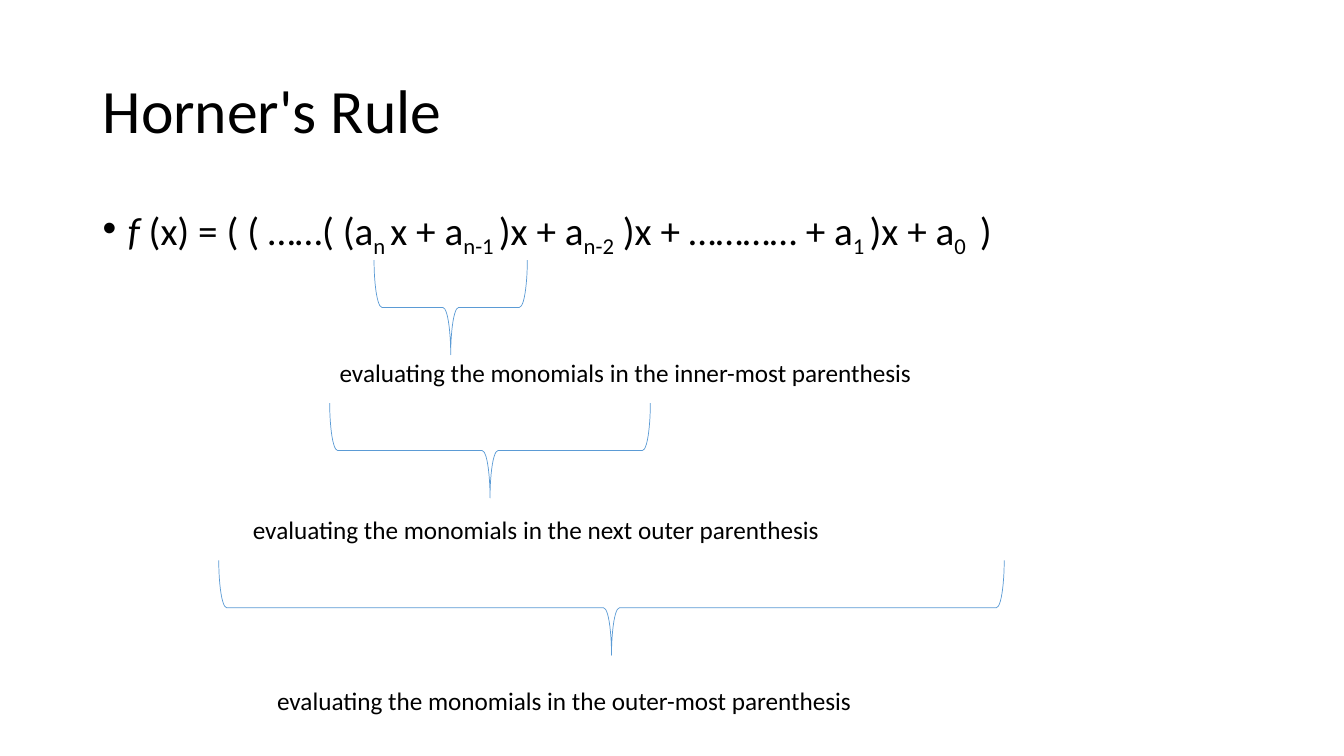
from lxml import etree
from pptx import Presentation
from pptx.dml.color import RGBColor
from pptx.enum.shapes import MSO_SHAPE
from pptx.enum.text import MSO_ANCHOR
from pptx.oxml.ns import qn
from pptx.util import Inches, Pt

FONT = "Calibri"
BLACK = "000000"
BRACE_BLUE = "5B9BD5"
BRACE_HEIGHT = 0.94

# Normal text and subscripts alternate after the italic function name.
FORMULA = [
    " (x) = ( ( ……( (a", "n ", "x + a", "n-1 ", ")x + a", "n-2",
    " )x + ………… + a", "1 ", ")x + a", "0 ", " )",
]

# Brace left, top, width; caption left, top, text.
STEPS = [
    (3.71, 2.58, 1.52, 3.27, 3.5,
     "evaluating the monomials in the inner-most parenthesis"),
    (3.27, 4.0, 3.18, 2.41, 5.05,
     "evaluating the monomials in the next outer parenthesis"),
    (2.17, 5.56, 7.79, 2.65, 6.75,
     "evaluating the monomials in the outer-most parenthesis"),
]


def color(hex_string):
    return RGBColor.from_string(hex_string)


def format_run(run, size):
    run.font.name = FONT
    run.font.size = Pt(size)
    run.font.color.rgb = color(BLACK)


def add_text(slide, left, top, width, height, text, size, anchor=MSO_ANCHOR.TOP):
    box = slide.shapes.add_textbox(
        Inches(left), Inches(top), Inches(width), Inches(height))
    frame = box.text_frame
    frame.word_wrap = True
    frame.vertical_anchor = anchor
    frame.text = text
    paragraph = frame.paragraphs[0]
    for run in paragraph.runs:
        format_run(run, size)
    return paragraph


def add_bullet(paragraph):
    properties = paragraph._p.get_or_add_pPr()
    properties.set("marL", str(Inches(0.25)))
    properties.set("indent", str(-Inches(0.25)))
    bullet_font = etree.SubElement(properties, qn("a:buFont"))
    bullet_font.set("typeface", "Arial")
    bullet = etree.SubElement(properties, qn("a:buChar"))
    bullet.set("char", "•")


def add_formula(slide):
    paragraph = add_text(slide, 0.92, 2, 11.5, 4.76, "f", 28)
    add_bullet(paragraph)
    paragraph.line_spacing = 0.9
    paragraph.runs[0].font.italic = True
    for index, part in enumerate(FORMULA):
        run = paragraph.add_run()
        run.text = part
        format_run(run, 28)
        if index % 2:
            run.font._element.set("baseline", "-25000")


def add_brace_below(slide, left, top, width):
    """Draw a brace pointing down; left, top and width are as seen after turning."""
    shift = (width - BRACE_HEIGHT) / 2
    brace = slide.shapes.add_shape(
        MSO_SHAPE.RIGHT_BRACE, Inches(left + shift), Inches(top - shift),
        Inches(BRACE_HEIGHT), Inches(width))
    brace.rotation = 90
    brace.shadow.inherit = False
    brace.fill.background()
    brace.line.color.rgb = color(BRACE_BLUE)
    brace.line.width = Pt(0.5)


def main():
    presentation = Presentation()
    presentation.slide_width = Inches(13.33)
    presentation.slide_height = Inches(7.5)
    slide = presentation.slides.add_slide(presentation.slide_layouts[6])

    title = add_text(slide, 0.92, 0.4, 11.5, 1.45, "Horner's Rule", 44,
                     MSO_ANCHOR.MIDDLE)
    title.line_spacing = 0.9
    add_formula(slide)
    for brace_left, brace_top, brace_width, text_left, text_top, text in STEPS:
        add_brace_below(slide, brace_left, brace_top, brace_width)
        add_text(slide, text_left, text_top, 6.06, 0.4, text, 18)

    presentation.save("out.pptx")


if __name__ == "__main__":
    main()
